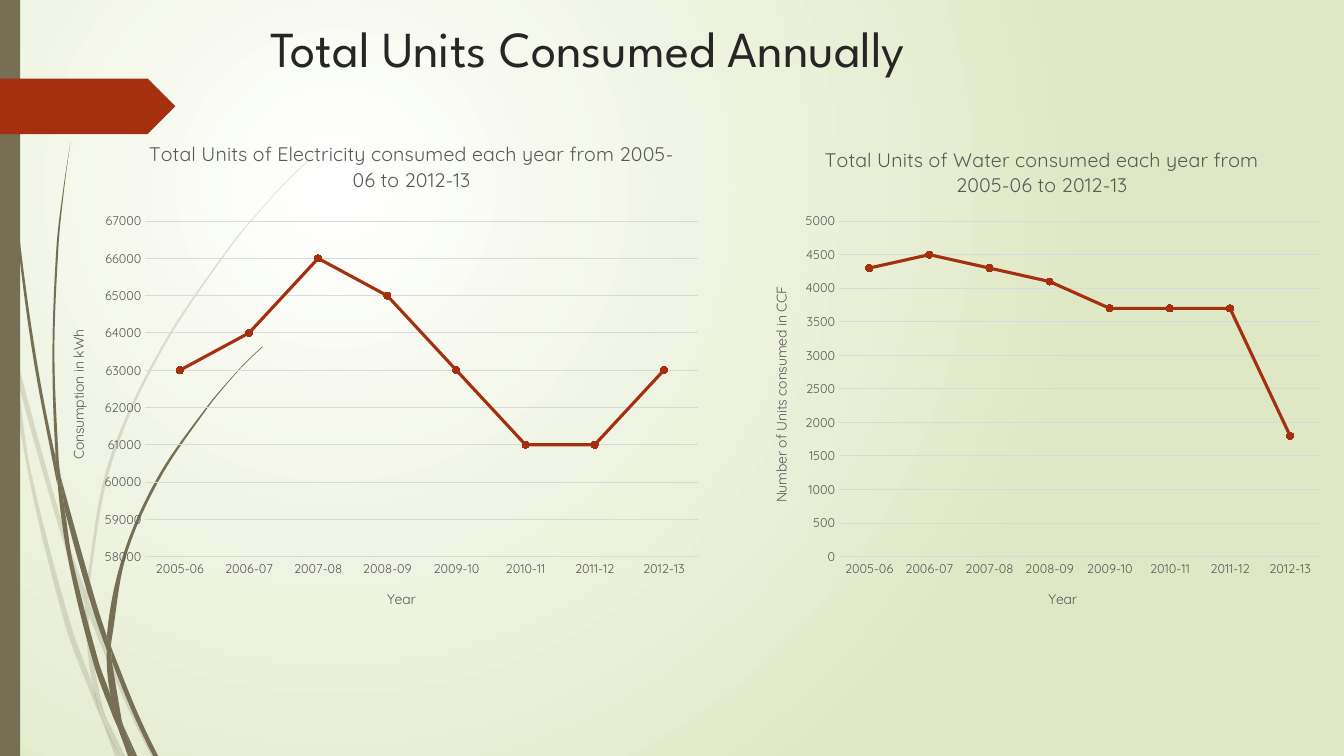
import math

from lxml import etree
from pptx import Presentation
from pptx.chart.data import CategoryChartData
from pptx.dml.color import RGBColor
from pptx.enum import chart as chart_enum, shapes as shape_enum, text as text_enum
from pptx.oxml import ns
from pptx.util import Inches, Pt

# Colours and fonts
OLIVE = RGBColor(0x76, 0x6F, 0x54)
RED = RGBColor(0xA5, 0x30, 0x10)
DARK = RGBColor(0x26, 0x26, 0x26)
GREY = RGBColor(0x59, 0x59, 0x59)
GRID = RGBColor(0xD9, 0xD9, 0xD9)
WHITE = RGBColor(0xFF, 0xFF, 0xFF)
PALE_GREEN = RGBColor(0xDF, 0xE8, 0xC4)
TITLE_FONT, BODY_FONT = "League Spartan", "Quicksand"

# Content
TITLE = "Total Units Consumed Annually"
YEARS = [f"{year}-{(year + 1) % 100:02d}" for year in range(2005, 2013)]
LINE_TYPE = chart_enum.XL_CHART_TYPE
CHARTS = [
    {
        "type": LINE_TYPE.LINE_MARKERS,
        "title": "Total Units of Electricity consumed each year from 2005-06 to 2012-13",
        "title_at": {"x": 0.15, "y": 0.02}, "axis": "Consumption in kWh",
        "left": 0.45, "width": 6.61, "scale": (58000, 67000, 1000),
        "values": [63000, 64000, 66000, 65000, 63000, 61000, 61000, 63000],
    },
    {
        "type": LINE_TYPE.LINE_MARKERS_STACKED,
        "title": "Total Units of Water consumed each year from 2005-06 to 2012-13",
        "title_at": None, "axis": "Number of Units consumed in CCF",
        "left": 7.46, "width": 5.75, "scale": (0, 5000, 500),
        "values": [4300, 4500, 4300, 4100, 3700, 3700, 3700, 1800],
    },
]
CHART_TOP, CHART_HEIGHT = 1.25, 4.97
PLOT_AREA = {"x": 0.15, "y": 0.19, "w": 0.83, "h": 0.67}

# Grass blades: each has two edges, traced there and back, in inches
PALE_BLADES = [
    ([(0.11, 3.5), (0.09, 3.22), (0, 2.82)], [(0, 2.99), (0.1, 3.44)]),
    ([(0.17, 3.76), (0.58, 5.22), (0.84, 5.99)], [(0.85, 5.86), (0.62, 5.2), (0.14, 3.45)]),
    ([(0.88, 6.1), (1.23, 6.94), (1.5, 7.5)],
     [(1.55, 7.5), (1.27, 6.92), (0.92, 6.07), (0.88, 5.96)]),
    ([(1.05, 7.11), (1.19, 7.5)], [(1.24, 7.5)]),
    ([(0.11, 3.5), (0.28, 4.7), (0.65, 6.21), (0.92, 6.93), (1.01, 7.14)],
     [(0.99, 7.07), (0.93, 6.83), (0.7, 6.19), (0.31, 4.69), (0.17, 3.76), (0.11, 3.5)]),
    ([(0.84, 5.99), (0.87, 6.46), (0.93, 6.83), (1.05, 7.11)],
     [(1.03, 7.06), (0.91, 6.46), (0.88, 6.1)]),
    ([(0.88, 5.96), (0.88, 5.84), (1.1, 4.62), (1.6, 3.49), (2.29, 2.45), (2.68, 1.98),
      (2.9, 1.75), (3.12, 1.54)],
     [(3.12, 1.53), (2.89, 1.75), (2.68, 1.97), (2.28, 2.44), (1.58, 3.48), (1.07, 4.61),
      (0.85, 5.84), (0.85, 5.86)]),
    ([(1.01, 7.14), (1.14, 7.5)], [(1.19, 7.5)]),
    ([(0.88, 6.1), (0.88, 5.96)], [(0.85, 5.86), (0.84, 5.99)]),
    ([(0.93, 6.83), (1.01, 7.14), (1.19, 7.5)], [(1.05, 7.11), (0.96, 6.92)]),
]
DARK_BLADES = [
    ([(0.03, 0), (0.04, 0.48), (0.07, 1.1), (0.17, 2.33), (0.33, 3.55), (0.56, 4.77),
      (0.57, 4.81)],
     [(0.55, 4.53), (0.36, 3.55), (0.19, 2.32), (0.08, 1.09), (0.05, 0.48), (0.04, 0)]),
    ([(0.64, 5.05), (0.88, 5.92), (1.06, 6.45)], [(1.06, 6.31), (0.93, 5.9), (0.6, 4.72)]),
    ([(1.11, 6.56), (1.32, 7.08), (1.52, 7.5)],
     [(1.57, 7.5), (1.36, 7.06), (1.13, 6.49), (1.1, 6.41)]),
    ([(0.57, 4.77), (0.68, 5.57), (0.93, 6.59), (1.11, 7.08), (1.17, 7.22)],
     [(1.16, 7.17), (1.1, 6.91), (0.98, 6.57), (0.72, 5.56), (0.64, 5.05), (0.57, 4.77)]),
    ([(0.6, 4.72), (0.58, 4.53), (0.54, 3.49), (0.58, 2.45), (0.63, 1.93), (0.7, 1.41)],
     [(0.7, 1.41), (0.62, 1.93), (0.56, 2.45), (0.52, 3.49), (0.55, 4.49), (0.6, 4.72)]),
    ([(1.22, 7.19), (1.33, 7.5)], [(1.36, 7.5)]),
    ([(0.55, 4.49), (0.57, 4.77), (0.64, 5.05)], [(0.6, 4.72)]),
    ([(1.1, 6.41), (1.11, 6.33), (1.25, 5.52), (1.58, 4.76), (2.05, 4.06), (2.31, 3.74),
      (2.45, 3.59), (2.61, 3.44)],
     [(2.6, 3.44), (2.45, 3.58), (2.31, 3.73), (2.04, 4.05), (1.56, 4.74), (1.22, 5.51),
      (1.06, 6.31)]),
    ([(1.17, 7.22), (1.27, 7.5)], [(1.31, 7.5)]),
    ([(1.06, 6.45), (1.1, 6.91), (1.22, 7.19)], [(1.21, 7.16), (1.11, 6.56)]),
    ([(1.06, 6.31), (1.06, 6.45), (1.11, 6.56)], [(1.1, 6.41)]),
    ([(1.1, 6.91), (1.17, 7.22), (1.3, 7.5)], [(1.33, 7.5), (1.22, 7.19)]),
]


def format_font(font, **values):
    font.color.rgb = values.pop("color")
    for name, value in values.items():
        setattr(font, name, value)


def paint(shape, color):
    shape.fill.solid()
    shape.fill.fore_color.rgb = color
    shape.line.fill.background()
    shape.shadow.inherit = False


def edge_curves(points):
    """Control points and end of a smooth curve between each two neighbours."""
    if len(points) < 3:
        return [(start, end, end) for start, end in zip(points, points[1:])]
    angles = [math.atan2(c[1] - a[1], c[0] - a[0]) for a, c in zip(points, points[2:])]
    chords = [math.atan2(b[1] - a[1], b[0] - a[0]) for a, b in zip(points, points[1:])]
    angles = [2 * chords[0] - angles[0], *angles, 2 * chords[-1] - angles[-1]]
    curves = []
    for start, end, leave, arrive in zip(points, points[1:], angles, angles[1:]):
        reach = math.dist(start, end) / 3
        curves.append((
            (start[0] + reach * math.cos(leave), start[1] + reach * math.sin(leave)),
            (end[0] - reach * math.cos(arrive), end[1] - reach * math.sin(arrive)), end))
    return curves


def add_blades(slide, blades, opacity):
    group = slide.shapes.add_group_shape()
    for there, back in blades:
        anchors = [(Inches(x), Inches(y)) for x, y in there + back]
        builder = group.shapes.build_freeform(*anchors[0])
        builder.add_line_segments(anchors[1:], close=False)
        blade = builder.convert_to_shape()
        paint(blade, OLIVE)
        # Bend the straight segments of both edges
        curves = edge_curves(there) + [None] + edge_curves(back)
        for line, curve in zip(list(blade._element.iter(ns.qn("a:lnTo"))), curves):
            if curve:
                bend = etree.Element(ns.qn("a:cubicBezTo"))
                for x, y in curve:
                    point = etree.SubElement(bend, ns.qn("a:pt"))
                    point.set("x", str(Inches(x) - blade.left))
                    point.set("y", str(Inches(y) - blade.top))
                line.getparent().replace(line, bend)
        if opacity < 100:
            color = blade._element.spPr.find(ns.qn("a:solidFill"))[0]
            etree.SubElement(color, ns.qn("a:alpha")).set("val", str(opacity * 1000))


def set_title(owner, words, size):
    frame = owner.text_frame
    frame.text = words
    format_font(frame.paragraphs[0].runs[0].font, name=BODY_FONT, size=Pt(size),
                bold=False, color=GREY)


def place(element, position, settings):
    """Fix where a part of a chart lies."""
    for old in element.findall(ns.qn("c:layout")):
        element.remove(old)
    layout = etree.Element(ns.qn("c:layout"))
    element.insert(position, layout)
    manual = etree.SubElement(layout, ns.qn("c:manualLayout"))
    for name, setting in settings.items():
        etree.SubElement(manual, ns.qn(f"c:{name}")).set("val", str(setting))


def add_line_chart(slide, content):
    data = CategoryChartData()
    data.categories = YEARS
    data.add_series("Series 1", content["values"])
    chart = slide.shapes.add_chart(
        content["type"], Inches(content["left"]), Inches(CHART_TOP),
        Inches(content["width"]), Inches(CHART_HEIGHT), data).chart
    format_font(chart.font, name=BODY_FONT, size=Pt(10), color=GREY)
    chart.has_legend = False
    set_title(chart.chart_title, content["title"], 14)
    edges = {"xMode": "edge", "yMode": "edge"}
    place(chart._chartSpace.chart.plotArea, 0, {"layoutTarget": "inner", **edges, **PLOT_AREA})
    if content["title_at"]:
        place(chart.chart_title._element, 1, {**edges, **content["title_at"]})

    # Axes
    category, value = chart.category_axis, chart.value_axis
    for axis, words in ((category, "Year"), (value, content["axis"])):
        set_title(axis.axis_title, words, 10)
        axis.major_tick_mark = axis.minor_tick_mark = chart_enum.XL_TICK_MARK.NONE
        format_font(axis.tick_labels.font, name=BODY_FONT, size=Pt(9), color=GREY)
    value.minimum_scale, value.maximum_scale, value.major_unit = content["scale"]
    value.format.line.fill.background()
    for line in (category.format.line, value.major_gridlines.format.line):
        line.color.rgb, line.width = GRID, Pt(0.75)

    # Line and markers
    plot = chart.plots[0]
    plot.vary_by_categories = False
    series = plot.series[0]
    series.smooth = False
    series.format.line.color.rgb, series.format.line.width = RED, Pt(2.25)
    marker = series.marker
    marker.style, marker.size = chart_enum.XL_MARKER_STYLE.CIRCLE, 5
    marker.format.fill.solid()
    marker.format.fill.fore_color.rgb = marker.format.line.color.rgb = RED


def add_background(slide):
    """A glow centred a quarter of the way in."""
    fill = slide.background.fill
    fill.gradient()
    for stop, color, position in zip(fill.gradient_stops, (WHITE, PALE_GREEN), (0, 1)):
        stop.color.rgb, stop.position = color, position
    gradient = slide._element.find(".//" + ns.qn("a:gradFill"))
    gradient.remove(gradient.find(ns.qn("a:lin")))
    circle = etree.SubElement(gradient, ns.qn("a:path"))
    circle.set("path", "circle")
    focus = etree.SubElement(circle, ns.qn("a:fillToRect"))
    for side, share in {"l": 50, "t": 50, "r": 100, "b": 100}.items():
        focus.set(side, str(share * 1000))


def main():
    presentation = Presentation()
    presentation.slide_width, presentation.slide_height = Inches(13.33), Inches(7.5)
    slide = presentation.slides.add_slide(presentation.slide_layouts[6])
    add_background(slide)

    # Grass, side bar and arrow tab
    add_blades(slide, PALE_BLADES, 20)
    add_blades(slide, DARK_BLADES, 100)
    preset = shape_enum.MSO_SHAPE
    for kind, top, width, height, color in ((preset.RECTANGLE, 0, 0.2, 7.5, OLIVE),
                                            (preset.PENTAGON, 0.78, 1.74, 0.55, RED)):
        shape = slide.shapes.add_shape(kind, 0, Inches(top), Inches(width), Inches(height))
        paint(shape, color)

    # Title
    frame = slide.shapes.add_textbox(*map(Inches, (2.58, 0.12, 9.75, 1.4))).text_frame
    frame.word_wrap, frame.vertical_anchor = True, text_enum.MSO_ANCHOR.TOP
    frame.text = TITLE
    format_font(frame.paragraphs[0].runs[0].font, name=TITLE_FONT, size=Pt(36), color=DARK)

    for content in CHARTS:
        add_line_chart(slide, content)
    presentation.save("out.pptx")


if __name__ == "__main__":
    main()
